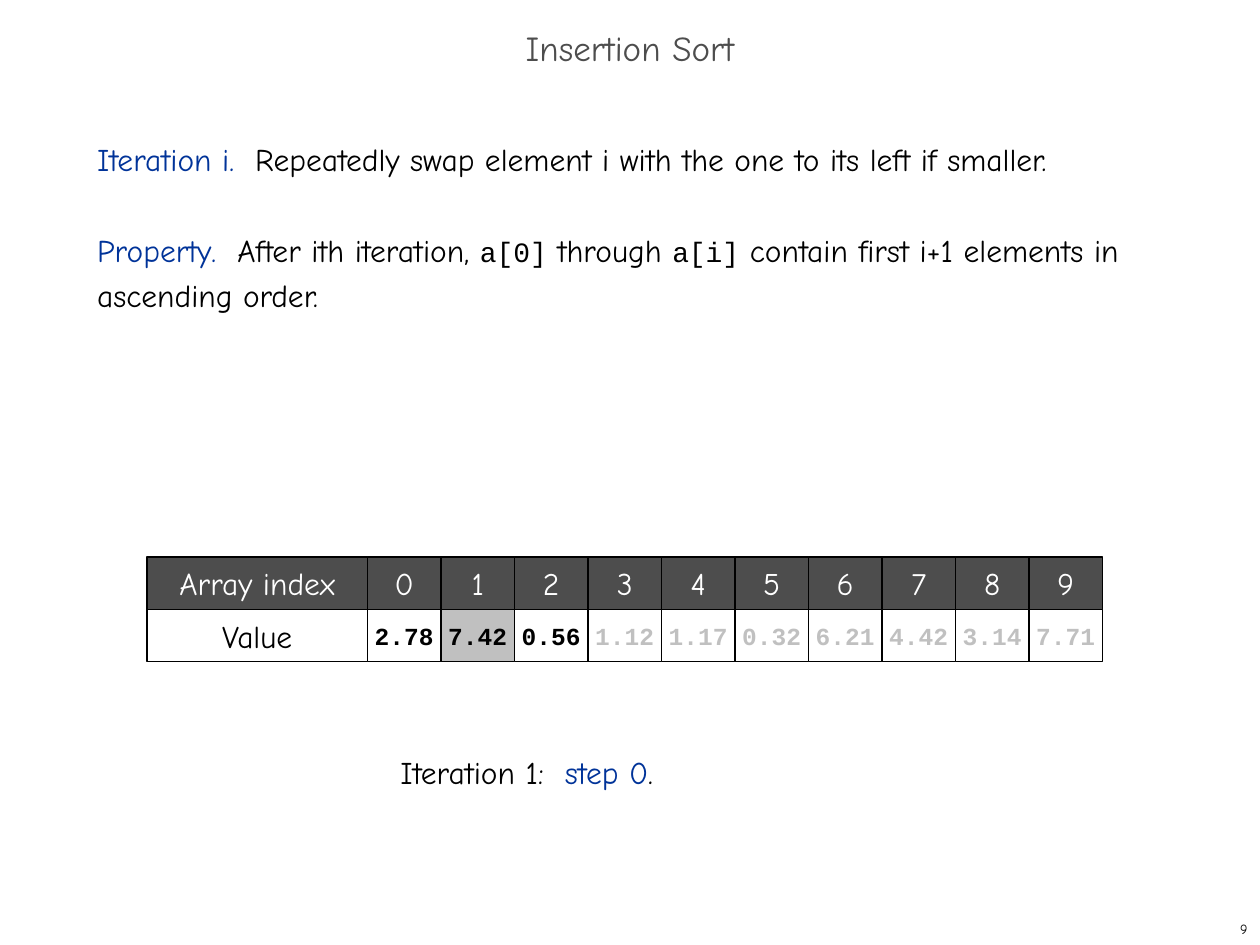
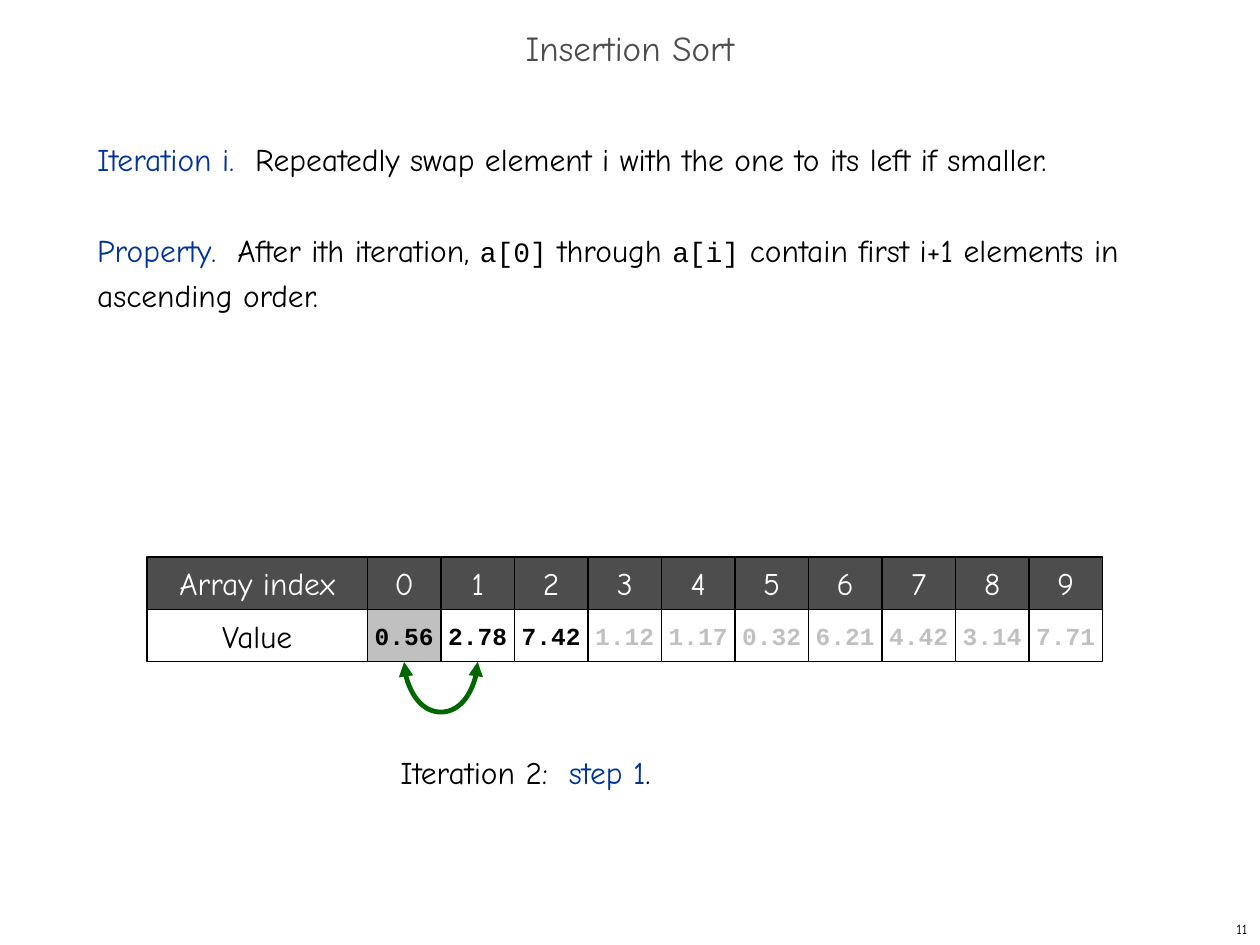
from dataclasses import dataclass

from lxml import etree
from pptx import Presentation
from pptx.dml.color import RGBColor
from pptx.enum.shapes import MSO_CONNECTOR, MSO_SHAPE
from pptx.enum.text import MSO_ANCHOR, MSO_AUTO_SIZE, PP_ALIGN
from pptx.oxml.ns import qn
from pptx.util import Emu, Inches, Pt

RECTANGLE = MSO_SHAPE.RECTANGLE
CURVE = MSO_CONNECTOR.CURVE
MIDDLE, TOP = MSO_ANCHOR.MIDDLE, MSO_ANCHOR.TOP
LEFT, CENTER, RIGHT = PP_ALIGN.LEFT, PP_ALIGN.CENTER, PP_ALIGN.RIGHT
NO_AUTOFIT = MSO_AUTO_SIZE.NONE
BOTTOM_SIDE = 2


@dataclass(frozen=True)
class Theme:
    text_font: str = "Comic Neue"
    code_font: str = "Courier New"
    black: str = "000000"
    white: str = "FFFFFF"
    blue: str = "003399"
    green: str = "006600"
    dark_gray: str = "4D4D4D"
    light_gray: str = "C0C0C0"
    title_size: int = 20
    text_size: int = 18
    code_size: int = 16
    value_size: int = 14
    number_size: int = 8
    body_leading: int = 26


THEME = Theme()


@dataclass(frozen=True)
class Style:
    color: str = THEME.black
    size: int = THEME.text_size
    font: str = THEME.text_font
    bold: bool = False


# Text styles
PLAIN = Style()
KEYWORD = Style(THEME.blue)
CODE = Style(size=THEME.code_size, font=THEME.code_font)
TITLE = Style(THEME.dark_gray, THEME.title_size)
PAGE_NUMBER = Style(size=THEME.number_size)
INDEX = Style(THEME.white)
SORTED_VALUE = Style(THEME.black, THEME.value_size, THEME.code_font, True)
WAITING_VALUE = Style(THEME.light_gray, THEME.value_size, THEME.code_font, True)

# Array grid, in inches: the label column is three cells wide
CELL_WIDTH = 7 / 12
ROW_HEIGHT = 5 / 12
LABEL_WIDTH = 3 * CELL_WIDTH
ARRAY_LEFT = 2 * CELL_WIDTH
ARRAY_TOP = 4.42

# Swap arrow: a hair-thin connector turned on its side, bulging downwards
ARROW_THICKNESS = Emu(1588)
ARROW_DEPTH = Inches(0.44)

BODY = [
    [("Iteration i.  ", KEYWORD),
     ("Repeatedly swap element i with the one to its left if smaller.", PLAIN)],
    [("Property.  ", KEYWORD), ("After ith iteration, ", PLAIN),
     ("a[0]", CODE), (" through ", PLAIN), ("a[i]", CODE),
     (" contain first i+1 elements in ascending order.", PLAIN)],
]


@dataclass(frozen=True)
class SortStep:
    page: int
    iteration: int
    step: int
    values: tuple
    current: int
    swapped: bool = False


WAITING = ("1.12", "1.17", "0.32", "6.21", "4.42", "3.14", "7.71")
STEPS = [
    SortStep(9, 1, 0, ("2.78", "7.42", "0.56") + WAITING, current=1),
    SortStep(11, 2, 1, ("0.56", "2.78", "7.42") + WAITING, current=0, swapped=True),
]


def color(value):
    return RGBColor.from_string(value)


def place(shape, left, top, width, height):
    shape.left, shape.top = Inches(left), Inches(top)
    shape.width, shape.height = Inches(width), Inches(height)


def format_run(run, style):
    run.font.name = style.font
    run.font.size = Pt(style.size)
    run.font.bold = style.bold
    run.font.color.rgb = color(style.color)


def add_runs(paragraph, parts):
    for text, style in parts:
        run = paragraph.add_run()
        run.text = text
        format_run(run, style)


def write(shape, text, style, alignment, wrap=False):
    """Fill a shape with one line of text in one style."""
    frame = shape.text_frame
    frame.text = text
    frame.word_wrap = wrap
    frame.auto_size = NO_AUTOFIT
    frame.vertical_anchor = MIDDLE
    paragraph = frame.paragraphs[0]
    paragraph.alignment = alignment
    format_run(paragraph.runs[0], style)
    return paragraph


def remove_bullet(paragraph):
    properties = paragraph._p.get_or_add_pPr()
    properties.set("marL", "0")
    properties.set("indent", "0")
    etree.SubElement(properties, qn("a:buNone"))


def add_title(slide, text):
    title = slide.shapes.title
    place(title, 0, 0.17, 10, 0.5)
    write(title, text, TITLE, CENTER, wrap=True).line_spacing = 0.7


def add_body(slide, paragraphs):
    body = slide.placeholders[1]
    place(body, 0.67, 1, 8.83, 5.92)
    frame = body.text_frame
    frame.auto_size = NO_AUTOFIT
    frame.vertical_anchor = TOP
    for number, parts in enumerate(paragraphs):
        paragraph = frame.add_paragraph() if number else frame.paragraphs[0]
        paragraph.alignment = LEFT
        paragraph.line_spacing = Pt(THEME.body_leading)
        paragraph.space_before = Pt(THEME.body_leading if number else 0)
        remove_bullet(paragraph)
        add_runs(paragraph, parts)


def add_cell(slide, left, row, width, text, style, fill):
    cell = slide.shapes.add_shape(
        RECTANGLE, Inches(left), Inches(ARRAY_TOP + row * ROW_HEIGHT),
        Inches(width), Inches(ROW_HEIGHT))
    cell.shadow.inherit = False
    cell.fill.solid()
    cell.fill.fore_color.rgb = color(fill)
    cell.line.color.rgb = color(THEME.black)
    cell.line.width = Pt(0.75)
    write(cell, text, style, CENTER)
    return cell


def add_array(slide, values, current):
    """Draw index and value rows; return the value cells."""
    add_cell(slide, ARRAY_LEFT, 0, LABEL_WIDTH, "Array index", INDEX, THEME.dark_gray)
    add_cell(slide, ARRAY_LEFT, 1, LABEL_WIDTH, "Value", PLAIN, THEME.white)
    waiting_from = len(values) - len(WAITING)
    value_cells = []
    for index, value in enumerate(values):
        left = ARRAY_LEFT + LABEL_WIDTH + index * CELL_WIDTH
        add_cell(slide, left, 0, CELL_WIDTH, str(index), INDEX, THEME.dark_gray)
        style = SORTED_VALUE if index < waiting_from else WAITING_VALUE
        fill = THEME.light_gray if index == current else THEME.white
        value_cells.append(add_cell(slide, left, 1, CELL_WIDTH, value, style, fill))
    return value_cells


def add_swap_arrow(slide, first, second):
    arrow = slide.shapes.add_connector(CURVE, 0, 0, 0, 0)
    arrow.begin_connect(first, BOTTOM_SIDE)
    arrow.end_connect(second, BOTTOM_SIDE)
    arrow.line.color.rgb = color(THEME.green)
    arrow.line.width = Pt(2.75)

    # Turn the connector around the midpoint between the two cells
    span = second.left - first.left
    arrow.width, arrow.height = ARROW_THICKNESS, span
    arrow.left = second.left - ARROW_THICKNESS // 2
    arrow.top = first.top + first.height - span // 2
    properties = arrow.element.spPr
    transform = properties.find(qn("a:xfrm"))
    transform.set("rot", str(270 * 60000))
    transform.set("flipH", "1")

    # Bulge, arrowheads and no shadow
    adjustments = properties.find(qn("a:prstGeom")).get_or_add_avLst()
    bulge = round(ARROW_DEPTH / ARROW_THICKNESS * 100000)
    etree.SubElement(adjustments, qn("a:gd"), name="adj1", fmla=f"val {bulge}")
    outline = properties.find(qn("a:ln"))
    for end in ("a:headEnd", "a:tailEnd"):
        etree.SubElement(outline, qn(end), type="triangle")
    etree.SubElement(properties, qn("a:effectLst"))


def add_text_box(slide, left, top, width, height):
    return slide.shapes.add_textbox(
        Inches(left), Inches(top), Inches(width), Inches(height))


def add_caption(slide, iteration, step):
    frame = add_text_box(slide, 3.08, 5.93, 4.08, 0.4).text_frame
    frame.word_wrap = True
    add_runs(frame.paragraphs[0], [
        (f"Iteration {iteration}:  ", PLAIN), (f"step {step}", KEYWORD), (".", PLAIN)])


def add_page_number(slide, number):
    write(add_text_box(slide, 7.92, 7.25, 2.08, 0.25), str(number), PAGE_NUMBER, RIGHT)


def add_step_slide(presentation, sort_step):
    slide = presentation.slides.add_slide(presentation.slide_layouts[1])
    add_title(slide, "Insertion Sort")
    add_body(slide, BODY)
    cells = add_array(slide, sort_step.values, sort_step.current)
    if sort_step.swapped:
        add_swap_arrow(slide, cells[sort_step.current], cells[sort_step.current + 1])
    add_caption(slide, sort_step.iteration, sort_step.step)
    add_page_number(slide, sort_step.page)


def main():
    presentation = Presentation()
    presentation.slide_width = Inches(10)
    presentation.slide_height = Inches(7.5)
    for sort_step in STEPS:
        add_step_slide(presentation, sort_step)
    presentation.save("out.pptx")


if __name__ == "__main__":
    main()
